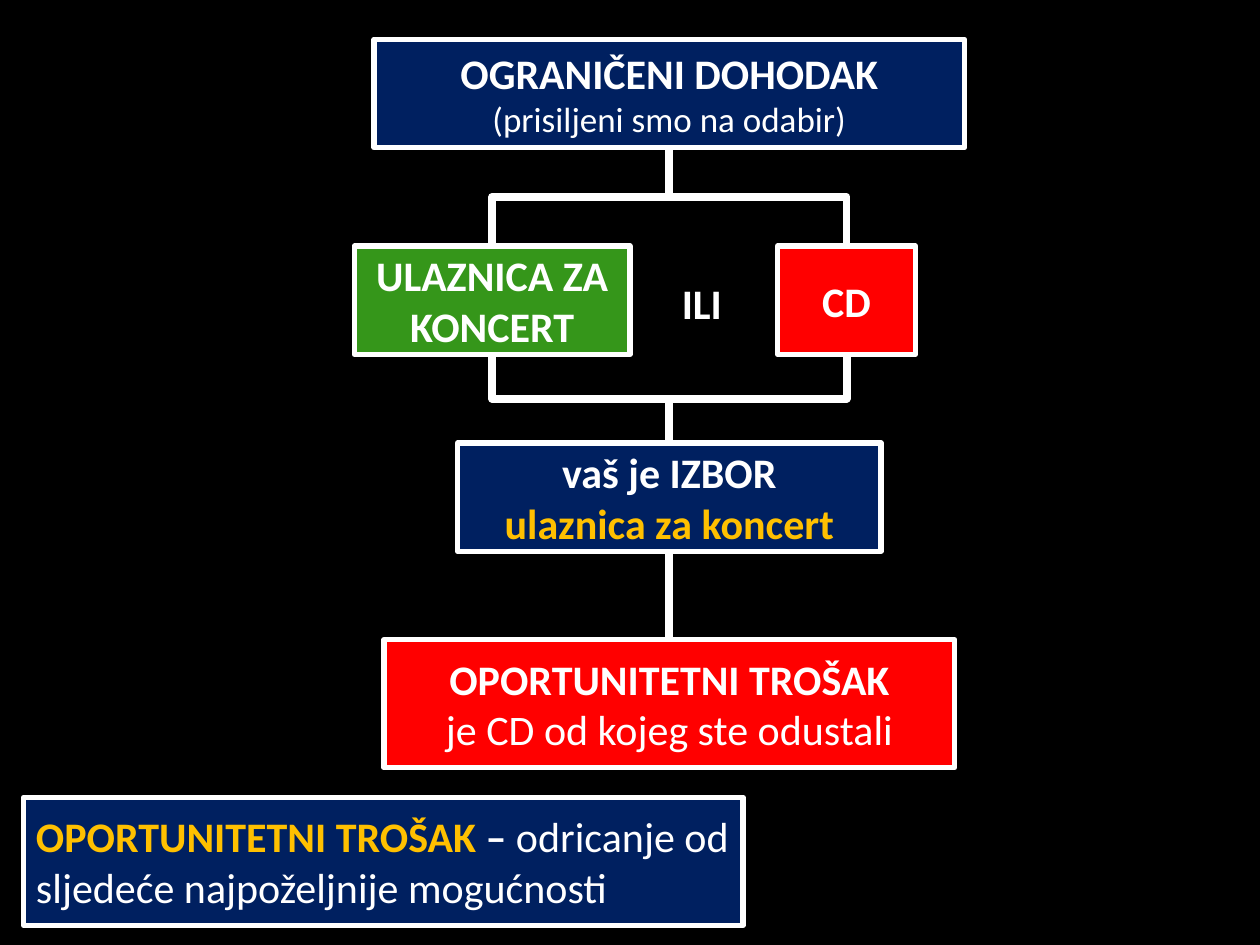
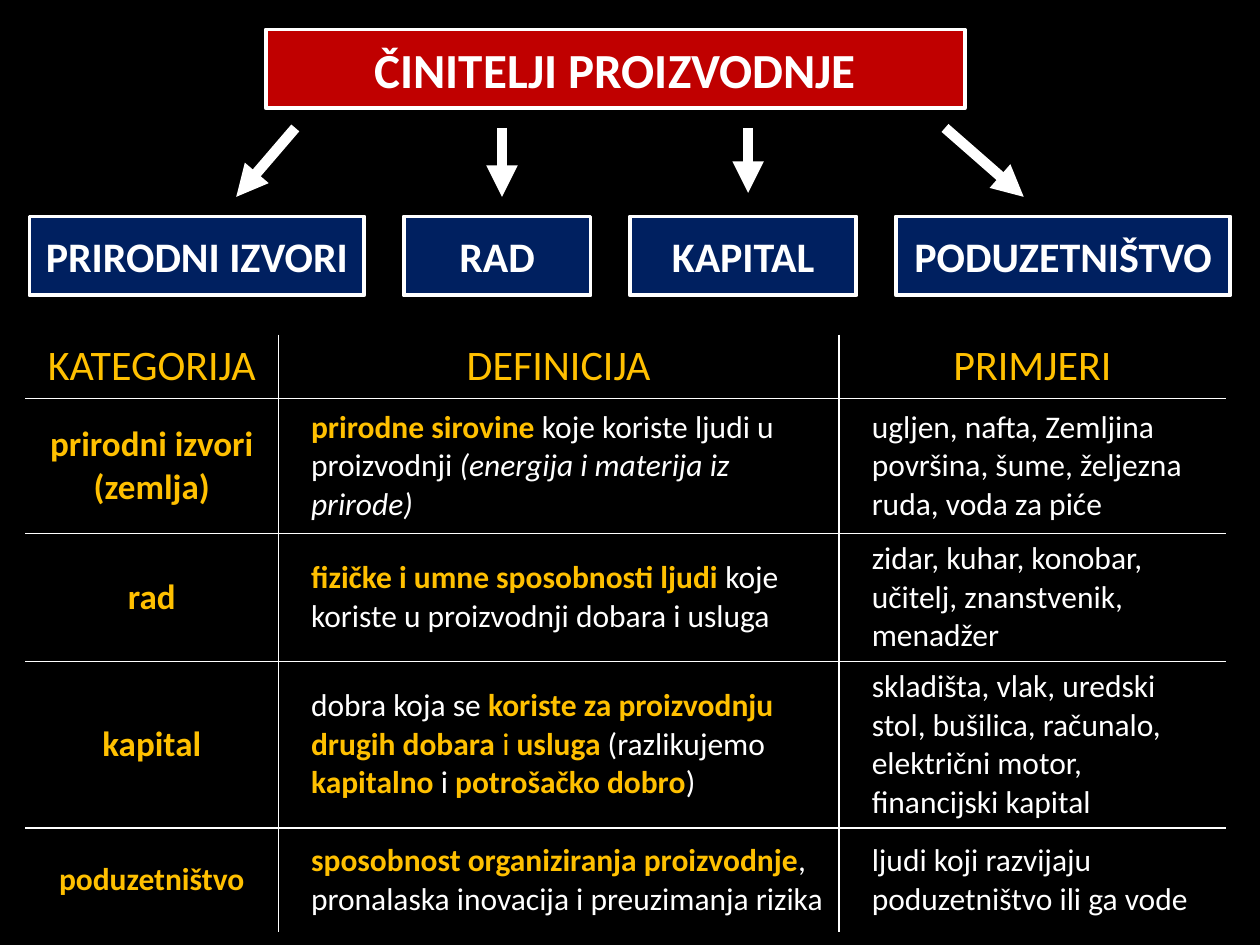
from collections import namedtuple
from itertools import accumulate

from lxml.etree import SubElement
from pptx import Presentation
from pptx.dml.color import RGBColor
from pptx.enum.shapes import MSO_CONNECTOR as LINK, MSO_SHAPE as SHAPE
from pptx.enum.text import MSO_ANCHOR as ANCHOR, MSO_AUTO_SIZE as FIT, PP_ALIGN as ALIGN
from pptx.oxml.ns import qn
from pptx.util import Inches, Pt

BLACK = RGBColor(0x00, 0x00, 0x00)
WHITE = RGBColor(0xFF, 0xFF, 0xFF)
GOLD = RGBColor(0xFF, 0xC0, 0x00)
NAVY = RGBColor(0x00, 0x20, 0x60)
GREEN = RGBColor(0x35, 0x96, 0x1A)
RED = RGBColor(0xFF, 0x00, 0x00)
DARK_RED = RGBColor(0xC0, 0x00, 0x00)
FONT = "Calibri"

# The slide is a grid of 64 columns and 48 square rows.
COLUMNS, ROWS = 64, 48
UNIT = Inches(10) / COLUMNS

Box = namedtuple("Box", "left top width height")
Span = namedtuple("Span", "text size color bold italic", defaults=(24, WHITE, True, False))


def grid(*units):
    """Turn grid units into slide lengths."""
    return [round(unit * UNIT) for unit in units]


def plain(text, size=18, italic=False):
    """White text of normal weight."""
    return Span(text, size, WHITE, False, italic)


def key(text, size=18, bold=True):
    """Gold text for key terms."""
    return Span(text, size, GOLD, bold)


def write(frame, paragraphs, align=ALIGN.CENTER):
    """Fill a text frame with paragraphs, each a list of spans."""
    for index, spans in enumerate(paragraphs):
        paragraph = frame.add_paragraph() if index else frame.paragraphs[0]
        paragraph.alignment = align
        for span in spans:
            run = paragraph.add_run()
            run.text = span.text
            run.font.name, run.font.size = FONT, Pt(span.size)
            run.font.color.rgb = span.color
            run.font.bold, run.font.italic = span.bold, span.italic


def style_panel(panel, fill, border, paragraphs, align=ALIGN.CENTER):
    """Give a shape or placeholder its fill, white border and text."""
    panel.fill.solid()
    panel.fill.fore_color.rgb = fill
    panel.line.color.rgb = WHITE
    panel.line.width = Pt(border)
    frame = panel.text_frame
    frame.word_wrap, frame.auto_size = True, FIT.NONE
    frame.vertical_anchor = ANCHOR.MIDDLE
    write(frame, paragraphs, align)


def add_panel(slide, box, fill, border, paragraphs, align=ALIGN.CENTER):
    """Add a bordered rectangle with text."""
    panel = slide.shapes.add_shape(SHAPE.RECTANGLE, *grid(*box))
    panel.shadow.inherit = False
    style_panel(panel, fill, border, paragraphs, align)


def place_title(slide, box, fill, border, paragraphs):
    """Move the title placeholder to its box and style it as a panel."""
    title = slide.shapes.title
    title.left, title.top, title.width, title.height = grid(*box)
    style_panel(title, fill, border, paragraphs)


def add_link(slide, kind, start, end, width, arrow=False):
    """Add a white connector, with an arrowhead at its end if asked."""
    link = slide.shapes.add_connector(kind, *grid(*start, *end))
    link.line.color.rgb = WHITE
    link.line.width = Pt(width)
    properties = link._element.spPr
    if arrow:
        SubElement(properties.find(qn("a:ln")), qn("a:tailEnd"), type="triangle")
    SubElement(properties, qn("a:effectLst"))
    return link


def add_elbow(slide, start, end):
    """Add an elbow that leaves and arrives vertically: a turned horizontal one."""
    (x1, y1), (x2, y2) = start, end
    middle_x, middle_y = (x1 + x2) / 2, (y1 + y2) / 2
    half_run, half_rise = (y2 - y1) / 2, abs(x2 - x1) / 2
    side = 1 if x2 < x1 else -1
    link = add_link(slide, LINK.ELBOW,
                    (middle_x - side * half_run, middle_y - half_rise),
                    (middle_x + side * half_run, middle_y + half_rise), 4.5)
    degrees = 90 if side == 1 else 270
    link._element.spPr.find(qn("a:xfrm")).set("rot", str(degrees * 60000))


def build_choice_tree(slide, box):
    """Income splits into two options, which join in a choice and its cost."""
    center, height, border = box.left + box.width / 2, 5.5, 3

    def centered(middle, row, width, rows=height):
        return Box(middle - width / 2, box.top + row, width, rows)

    income = centered(center, 0, 30)
    ticket = centered(center - 9, 10.5, 14)
    disc = centered(center + 9, 10.5, 7)
    choice = centered(center, 20.5, 21.5)
    cost = centered(center, 30.5, 29, 6.5)

    place_title(slide, income, NAVY, border, [
        [Span("OGRANIČENI DOHODAK")], [plain("(prisiljeni smo na odabir)", 20)]])
    add_panel(slide, ticket, GREEN, border, [[Span("ULAZNICA ZA KONCERT")]])
    add_panel(slide, disc, RED, border, [[Span("CD")]])
    add_panel(slide, choice, NAVY, border, [
        [Span("vaš je IZBOR")], [key("ulaznica za koncert", 24)]])
    add_panel(slide, cost, RED, border, [
        [Span("OPORTUNITETNI TROŠAK")], [plain("je CD od kojeg ste odustali", 24)]])

    either = slide.shapes.add_textbox(*grid(center, ticket.top + 1.3, 3.4, 3.2))
    either.text_frame.word_wrap = False
    write(either.text_frame, [[Span("ILI")]], ALIGN.LEFT)

    for middle in (center - 9, center + 9):
        add_elbow(slide, (center, income.top + height), (middle, ticket.top))
        add_elbow(slide, (middle, ticket.top + height), (center, choice.top))
    add_link(slide, LINK.STRAIGHT, (center, choice.top + height), (center, cost.top), 4.5)


def build_definition(slide, box):
    """The definition of opportunity cost at the foot of the slide."""
    add_panel(slide, box, NAVY, 3, [[
        key("OPORTUNITETNI TROŠAK", 24), Span(" – "),
        plain("odricanje od sljedeće najpoželjnije mogućnosti", 24)]], ALIGN.LEFT)


def build_factors(slide, box):
    """The heading, four arrows and the row of production factors."""
    place_title(slide, Box(box.left + 12, box.top, 35.5, 4), DARK_RED, 2.25,
                [[Span("ČINITELJI PROIZVODNJE", 28)]])
    arrows = [(13.5, 10.5, 8.5), (24, 24, 8.5), (36.5, 36.5, 8.3), (46.5, 50.5, 8.5)]
    for start, end, bottom in arrows:
        add_link(slide, LINK.STRAIGHT, (box.left + start, box.top + 5),
                 (box.left + end, box.top + bottom), 6, arrow=True)
    factors = [("PRIRODNI IZVORI", 17), ("RAD", 9.5), ("KAPITAL", 11.5), ("PODUZETNIŠTVO", 17)]
    gap = (box.width - sum(width for _, width in factors)) / (len(factors) - 1)
    left = box.left
    for factor, width in factors:
        add_panel(slide, Box(left, box.top + 9.5, width, 4), NAVY, 2.25, [[Span(factor)]])
        left += width + gap


def set_borders(cell, shown):
    """Draw white lines on the shown sides and none on the others."""
    properties = cell._tc.get_or_add_tcPr()
    for index, side in enumerate("LRTB"):
        line = SubElement(properties, qn("a:ln" + side), w=str(Pt(1)))
        if side in shown:
            fill = SubElement(line, qn("a:solidFill"))
            SubElement(fill, qn("a:srgbClr"), val=str(WHITE))
        else:
            SubElement(line, qn("a:noFill"))
        properties.insert(index, line)


FACTOR_ROWS = [
    [[key(heading, 24, False)] for heading in ("KATEGORIJA", "DEFINICIJA", "PRIMJERI")],
    [[key("prirodni izvori (zemlja)", 20)],
     [key("prirodne sirovine "), plain("koje koriste ljudi u proizvodnji "),
      plain("(energija i materija iz prirode)", italic=True)],
     [plain("ugljen, nafta, Zemljina površina, šume, željezna ruda, voda za piće")]],
    [[key("rad", 20)],
     [key("fizičke i umne sposobnosti ljudi "),
      plain("koje koriste u proizvodnji dobara i usluga")],
     [plain("zidar, kuhar, konobar, učitelj, znanstvenik, menadžer")]],
    [[key("kapital", 20)],
     [plain("dobra koja se "), key("koriste za proizvodnju drugih dobara "),
      key("i ", bold=False), key("usluga"), plain(" (razlikujemo "), key("kapitalno "),
      plain("i "), key("potrošačko dobro"), plain(")")],
     [plain("skladišta, vlak, uredski stol, bušilica, računalo, električni motor, "
            "financijski kapital")]],
    [[key("poduzetništvo")],
     [key("sposobnost organiziranja proizvodnje"),
      plain(", pronalaska inovacija i preuzimanja rizika")],
     [plain("ljudi koji razvijaju poduzetništvo ili ga vode")]],
]


def build_factor_table(slide, box):
    """The table of factors, ruled on its inner edges only."""
    widths, heights = (12.86, 28.48, 19.65), (2.7, 6.85, 5.12, 7.87, 5.3)
    last_row, last_column = len(heights) - 1, len(widths) - 1
    table = slide.shapes.add_table(len(heights), len(widths), *grid(*box)).table
    table.first_row = table.horz_banding = False
    for column, width in zip(table.columns, grid(*widths)):
        column.width = width
    for row, height in zip(table.rows, grid(*heights)):
        row.height = height
    for r, entries in enumerate(FACTOR_ROWS):
        for c, spans in enumerate(entries):
            cell = table.cell(r, c)
            cell.fill.solid()
            cell.fill.fore_color.rgb = BLACK
            cell.vertical_anchor = ANCHOR.MIDDLE
            centered = r == 0 or c == 0
            write(cell.text_frame, [spans], ALIGN.CENTER if centered else ALIGN.LEFT)
            if not centered:
                indent = cell.text_frame.paragraphs[0]._p.get_or_add_pPr()
                indent.set("marL", str(Inches(0.16)))
                indent.set("indent", "0")
            inner = {"L": c > 0, "R": c < last_column, "T": r > 0, "B": r < last_row}
            set_borders(cell, [side for side, shown in inner.items() if shown])


def main():
    """Build both slides on a black master."""
    deck = Presentation()
    deck.slide_width, deck.slide_height = grid(COLUMNS, ROWS)
    backdrop = deck.slide_master.background.fill
    backdrop.solid()
    backdrop.fore_color.rgb = BLACK
    title_only = deck.slide_layouts[5]

    cost_slide = deck.slides.add_slide(title_only)
    build_choice_tree(cost_slide, Box(18, 2, 32, 37))
    build_definition(cost_slide, Box(1.2, 40.5, 36.55, 6.5))

    factor_slide = deck.slides.add_slide(title_only)
    build_factors(factor_slide, Box(1.5, 1.5, 61, 13.5))
    build_factor_table(factor_slide, Box(1.28, 17, 61, 30))

    deck.save("out.pptx")


main()
